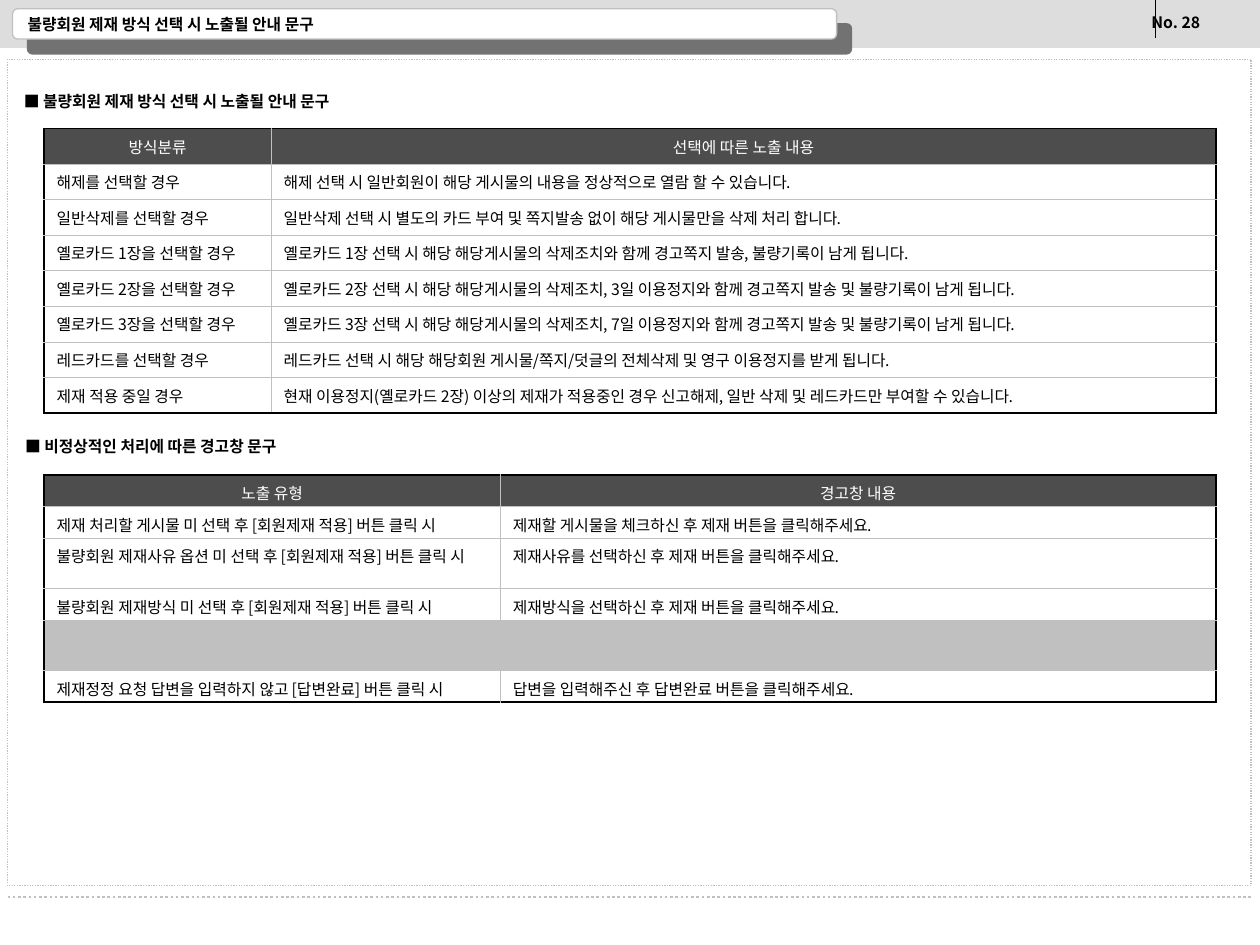
from dataclasses import dataclass

from lxml import etree
from pptx import Presentation
from pptx import util as u
from pptx.dml import color
from pptx.enum import dml, shapes, text
from pptx.oxml import ns


@dataclass(frozen=True)
class Theme:
    """Colours, font and sizes of the deck."""
    font: str = "Noto Sans CJK KR"
    size: float = 9
    black: str = "000000"
    white: str = "FFFFFF"
    band: str = "DDDDDD"
    header: str = "4D4D4D"
    grey: str = "C0C0C0"
    shadow: str = "727272"
    thin: float = 0.75
    dotted: float = 1.5
    outer: float = 1.08
    inner: float = 0.45
    before: float = 2.2


THEME = Theme()
TITLE = "불량회원 제재 방식 선택 시 노출될 안내 문구"
SANCTIONS = [
    ("방식분류", "선택에 따른 노출 내용"),
    ("해제를 선택할 경우", "해제 선택 시 일반회원이 해당 게시물의 내용을 정상적으로 열람 할 수 있습니다."),
    ("일반삭제를 선택할 경우", "일반삭제 선택 시 별도의 카드 부여 및 쪽지발송 없이 해당 게시물만을 삭제 처리 합니다."),
    ("옐로카드 1장을 선택할 경우", "옐로카드 1장 선택 시 해당 해당게시물의 삭제조치와 함께 경고쪽지 발송, 불량기록이 남게 됩니다."),
    ("옐로카드 2장을 선택할 경우", "옐로카드 2장 선택 시 해당 해당게시물의 삭제조치, 3일 이용정지와 함께 경고쪽지 발송 및 불량기록이 남게 됩니다."),
    ("옐로카드 3장을 선택할 경우", "옐로카드 3장 선택 시 해당 해당게시물의 삭제조치, 7일 이용정지와 함께 경고쪽지 발송 및 불량기록이 남게 됩니다."),
    ("레드카드를 선택할 경우", "레드카드 선택 시 해당 해당회원 게시물/쪽지/덧글의 전체삭제 및 영구 이용정지를 받게 됩니다."),
    ("제재 적용 중일 경우", "현재 이용정지(옐로카드 2장) 이상의 제재가 적용중인 경우 신고해제, 일반 삭제 및 레드카드만 부여할 수 있습니다."),
]
WARNINGS = [
    ("노출 유형", "경고창 내용"),
    ("제재 처리할 게시물 미 선택 후 [회원제재 적용] 버튼 클릭 시", "제재할 게시물을 체크하신 후 제재 버튼을 클릭해주세요."),
    ("불량회원 제재사유 옵션 미 선택 후 [회원제재 적용] 버튼 클릭 시", "제재사유를 선택하신 후 제재 버튼을 클릭해주세요."),
    ("불량회원 제재방식 미 선택 후 [회원제재 적용] 버튼 클릭 시", "제재방식을 선택하신 후 제재 버튼을 클릭해주세요."),
    None,
    ("제재정정 요청 답변을 입력하지 않고 [답변완료] 버튼 클릭 시", "답변을 입력해주신 후 답변완료 버튼을 클릭해주세요."),
]


def rgb(value):
    """Turn a hex string into a colour."""
    return color.RGBColor.from_string(value)


def inches(*values):
    """Convert several lengths from inches."""
    return [u.Inches(value) for value in values]


def add_child(parent, tag, **attributes):
    """Append a DrawingML element to a parent."""
    return etree.SubElement(parent, ns.qn(tag), attributes)


def write(paragraph, words, tint, bold=False):
    """Put styled words into a paragraph."""
    paragraph.text = words
    for span in paragraph.runs:
        span.font.size = u.Pt(THEME.size)
        span.font.name = THEME.font
        span.font.bold = bold
        span.font.color.rgb = rgb(tint)
        add_child(span.font._element, "a:ea", typeface=THEME.font)


def add_label(page, box, words, wrap=False):
    """Place a bold line of text."""
    label = page.shapes.add_textbox(*inches(*box))
    frame = label.text_frame
    frame.word_wrap = wrap
    if wrap:
        frame.vertical_anchor = text.MSO_ANCHOR.MIDDLE
    else:
        frame.auto_size = text.MSO_AUTO_SIZE.SHAPE_TO_FIT_TEXT
    write(frame.paragraphs[0], words, THEME.black, bold=True)


def add_panel(page, kind, box, fill, outlined=True):
    """Place a filled shape with or without a grey outline."""
    panel = page.shapes.add_shape(kind, *inches(*box))
    panel.shadow.inherit = False
    panel.fill.solid()
    panel.fill.fore_color.rgb = rgb(fill)
    if outlined:
        panel.line.color.rgb = rgb(THEME.grey)
        panel.line.width = u.Pt(THEME.thin)
    else:
        panel.line.fill.background()
    return panel


def add_rule(page, start, end, tint, width):
    """Draw a straight line."""
    rule = page.shapes.add_connector(shapes.MSO_CONNECTOR.STRAIGHT, *inches(*start, *end))
    rule.line.color.rgb = rgb(tint)
    rule.line.width = u.Pt(width)
    add_child(rule._element.spPr, "a:effectLst")
    return rule


def add_heading(page, box):
    """Build the title band with its tab and page number."""
    left, top, width, height = box
    add_panel(page, shapes.MSO_SHAPE.RECTANGLE, box, THEME.band, outlined=False)
    divider = left + width - 0.83
    add_rule(page, (divider, top), (divider, top + 0.3), THEME.black, THEME.thin)
    add_label(page, (divider - 0.13, top + 0.05, 1.08, 0.28), "No. 28")
    tab = add_panel(page, shapes.MSO_SHAPE.ROUNDED_RECTANGLE,
                    (left + 0.1, top + 0.07, 6.54, 0.24), THEME.white)
    effects = tab._element.spPr.find(ns.qn("a:effectLst"))
    shadow = add_child(effects, "a:outerShdw", dist=str(u.Pt(12.1)), dir="2700000",
                       algn="ctr", rotWithShape="0")
    add_child(shadow, "a:srgbClr", val=THEME.shadow)
    add_label(page, (left + 0.12, top + 0.1, 5.42, 0.18), TITLE, wrap=True)


def add_frame(page, box):
    """Build the dotted content frame and the footer rule."""
    left, top, width, height = box
    frame = add_panel(page, shapes.MSO_SHAPE.RECTANGLE, box, THEME.white)
    footer = top + height + 0.09
    rule = add_rule(page, (left, footer), (left + width, footer), THEME.grey, THEME.dotted)
    for item in (frame, rule):
        item.line.dash_style = dml.MSO_LINE.ROUND_DOT


def set_borders(cell, outer_sides):
    """Draw black outer and grey inner borders around a cell."""
    properties = cell._tc.get_or_add_tcPr()
    for index, side in enumerate("LRTB"):
        outer = side in outer_sides
        width = u.Pt(THEME.outer if outer else THEME.inner)
        border = etree.Element(ns.qn(f"a:ln{side}"), w=str(width))
        fill = add_child(border, "a:solidFill")
        add_child(fill, "a:srgbClr", val=THEME.black if outer else THEME.grey)
        properties.insert(index, border)


def fill_cell(cell, words, header):
    """Write and colour one cell."""
    if header or words is None:
        cell.fill.solid()
        cell.fill.fore_color.rgb = rgb(THEME.header if header else THEME.grey)
    else:
        cell.fill.background()
    if words is not None:
        para = cell.text_frame.paragraphs[0]
        write(para, words, THEME.white if header else THEME.black)
        para.space_before = u.Pt(THEME.before)
        para.alignment = text.PP_ALIGN.CENTER if header else text.PP_ALIGN.LEFT


def add_grid(page, box, columns, heights, rows):
    """Build a two-column table; a row of None is merged and grey."""
    table = page.shapes.add_table(len(rows), len(columns), *inches(*box)).table
    table.horz_banding = False
    for column, width in zip(table.columns, columns):
        column.width = u.Inches(width)
    last = len(rows) - 1
    for index, (height, words) in enumerate(zip(heights, rows)):
        table.rows[index].height = u.Inches(height)
        cells = list(table.rows[index].cells)
        if words is None:
            cells[0].merge(cells[-1])
        vertical = "T" * (index == 0) + "B" * (index == last)
        for cell, side, entry in zip(cells, "LR", words or (None, None)):
            fill_cell(cell, entry, header=index == 0)
            set_borders(cell, vertical + (side if words else "LR"))


def main():
    """Build and save the deck."""
    deck = Presentation()
    deck.slide_width, deck.slide_height = inches(10, 7.5)
    page = deck.slides.add_slide(deck.slide_layouts[6])
    add_heading(page, (0, 0, 10, 0.38))
    add_frame(page, (0.06, 0.47, 9.87, 6.56))
    add_grid(page, (0.35, 1.02, 9.3, 2.26), (1.8, 7.5), [2.26 / 8] * 8, SANCTIONS)
    add_label(page, (0.09, 0.68, 2.75, 0.25), f"■ {TITLE}")
    add_label(page, (0.1, 3.42, 2.29, 0.25), "■ 비정상적인 처리에 따른 경고창 문구")
    add_grid(page, (0.35, 3.77, 9.3, 1.64), (3.62, 5.68),
             (0.25, 0.25, 0.4, 0.25, 0.24, 0.25), WARNINGS)
    deck.save("out.pptx")


if __name__ == "__main__":
    main()
